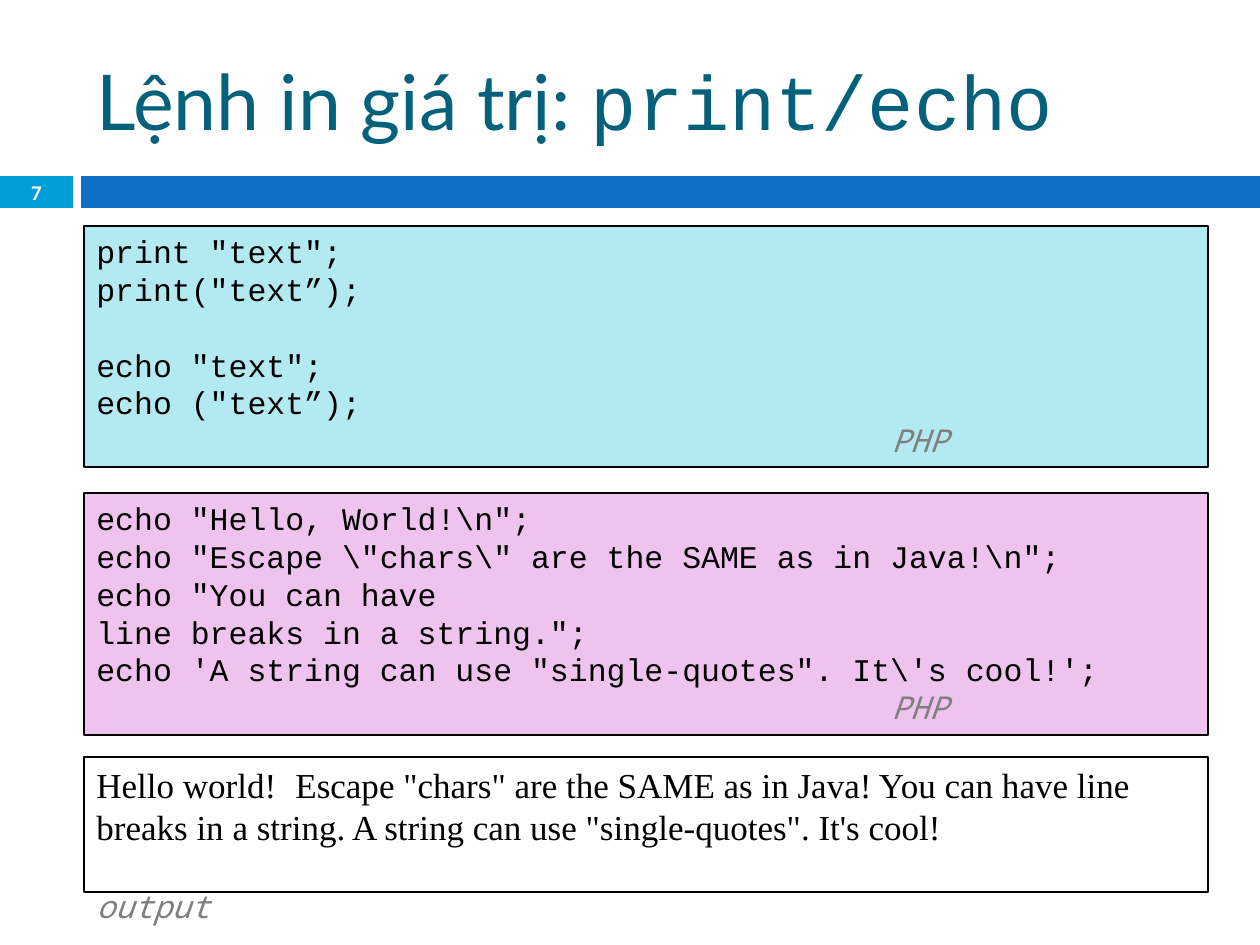
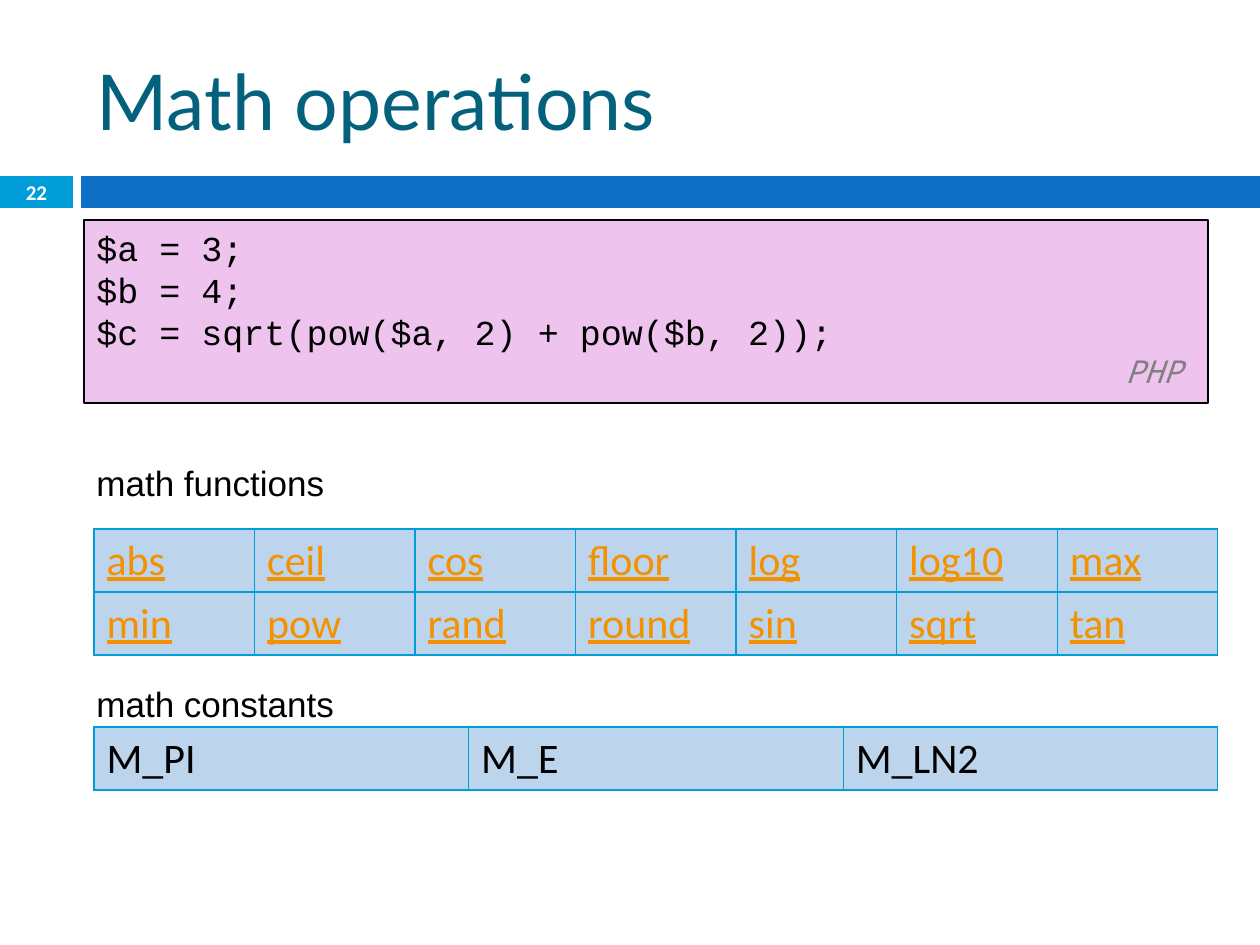
"""Build two PHP lesson slides: printing values and math operations."""
from lxml import etree
from pptx import Presentation
from pptx import util as u
from pptx.dml.color import RGBColor
from pptx.enum import shapes, text
from pptx.oxml.ns import qn


class Theme:
    band, number_band = "0F6FC6", "009DD9"
    cyan, pink, white, black = "B3EAF2", "EEC4EE", "FFFFFF", "000000"
    cell, border = "BCD4EC", "009DD9"
    title = dict(name="Lato", size=44, color="04617B")
    title_code = dict(title, name="Courier New")
    number = dict(name="Calibri", size=12, bold=True, color=white)
    code = dict(name="Courier New", size=18, color=black)
    large_code = dict(code, size=20)
    output = dict(name="Times New Roman", size=20, color=black)
    gap = dict(name="Noto Sans Mono", size=18, color="808080")
    tag = dict(gap, italic=True)
    caption = dict(name="Arial", size=20, color=black)
    constant = dict(name="Calibri", size=24, color=black)
    function = dict(constant, color="F49100", underline=True)


def px(length):
    return u.Emu(round(length * 914400 / 126))


def write(frame, lines, spaced=False, align=text.PP_ALIGN.LEFT):
    frame.vertical_anchor = text.MSO_ANCHOR.TOP if spaced else text.MSO_ANCHOR.MIDDLE
    for index, (runs, before, indent) in enumerate(lines):
        paragraph = frame.paragraphs[0] if index == 0 else frame.add_paragraph()
        paragraph.alignment = align
        paragraph.space_before = u.Pt(before)
        if spaced:
            paragraph.line_spacing = u.Pt(runs[0][1]["size"] * 1.2)
        if indent:
            paragraph._p.get_or_add_pPr().set("marL", str(px(indent)))
        for words, style in runs:
            run = paragraph.add_run()
            run.text = words
            for key, value in style.items():
                if key == "color":
                    run.font.color.rgb = RGBColor.from_string(value)
                else:
                    setattr(run.font, key, u.Pt(value) if key == "size" else value)


presentation = Presentation()
presentation.slide_width, presentation.slide_height = px(1260), px(945)

print_lines = [
    ([('print "text";', Theme.code)], 0, 0),
    ([('print("text”);', Theme.code)], 0, 0),
    ([('echo "text";', Theme.code)], 21.6, 0),
    ([('echo ("text”);', Theme.code)], 0, 0),
    ([("PHP", Theme.tag)], 0, 795),
]
echo_lines = [
    ([(line, Theme.code)], 0, 0)
    for line in (
        r'echo "Hello, World!\n";',
        r'echo "Escape \"chars\" are the SAME as in Java!\n";',
        'echo "You can have',
        'line breaks in a string.";',
        r"""echo 'A string can use "single-quotes". It\'s cool!';""",
    )
] + [([("PHP", Theme.tag)], 0, 795)]
output_lines = [
    ([("Hello world!", Theme.output), (" ", Theme.gap),
      ('Escape "chars" are the SAME as in Java! You can have line breaks in a string. '
       'A string can use "single-quotes". It\'s cool!', Theme.output)], 0, 0),
    ([("output", Theme.tag)], 23, 0),
]
math_lines = [
    ([(line, Theme.large_code)], 0, 0)
    for line in ("$a = 3;", "$b = 4;", "$c = sqrt(pow($a, 2) + pow($b, 2));")
] + [([("PHP", Theme.tag)], 0, 1029)]

pages = [
    ("7", [("Lệnh in giá trị: ", Theme.title), ("print/echo", Theme.title_code)],
     [(226, 241, Theme.cyan, print_lines),
      (493, 242, Theme.pink, echo_lines),
      (757, 135, Theme.white, output_lines)]),
    ("22", [("Math operations", Theme.title)],
     [(220, 183, Theme.pink, math_lines)]),
]

for number, title_runs, boxes in pages:
    slide = presentation.slides.add_slide(presentation.slide_layouts[5])
    title = slide.shapes.title
    title.left, title.top, title.width, title.height = px(84), px(32), px(1124), px(136)
    title.text_frame.auto_size = text.MSO_AUTO_SIZE.NONE
    write(title.text_frame, [(title_runs, 0, 0)])

    for left, width, color in ((0, 73, Theme.number_band), (81, 1179, Theme.band)):
        band = slide.shapes.add_shape(
            shapes.MSO_SHAPE.RECTANGLE, px(left), px(176), px(width), px(32))
        band.shadow.inherit = False
        band.fill.solid()
        band.fill.fore_color.rgb = RGBColor.from_string(color)
        band.line.fill.background()

    number_box = slide.shapes.add_textbox(0, px(175), px(73), px(34))
    write(number_box.text_frame, [([(number, Theme.number)], 0, 0)],
          align=text.PP_ALIGN.CENTER)

    for top, height, color, lines in boxes:
        box = slide.shapes.add_shape(
            shapes.MSO_SHAPE.RECTANGLE, px(84), px(top), px(1124), px(height))
        box.shadow.inherit = False
        box.fill.solid()
        box.fill.fore_color.rgb = RGBColor.from_string(color)
        box.line.color.rgb = RGBColor.from_string(Theme.black)
        box.line.width = u.Pt(1.5)
        box.text_frame.word_wrap = True
        write(box.text_frame, lines, spaced=True)

tables = [
    ("math functions", 455, 529, Theme.function,
     ["abs ceil cos floor log log10 max".split(),
      "min pow rand round sin sqrt tan".split()]),
    ("math constants", 676, 727, Theme.constant, [["M_PI", "M_E", "M_LN2"]]),
]
for caption, caption_top, table_top, style, rows in tables:
    caption_box = slide.shapes.add_textbox(px(84), px(caption_top), px(270), px(55))
    write(caption_box.text_frame, [([(caption, Theme.caption)], 0, 0)])

    table = slide.shapes.add_table(
        len(rows), len(rows[0]), px(94), px(table_top), px(1124), px(63 * len(rows))).table
    for column in table.columns:
        column.width = px(1124) // len(rows[0])
    for cell, words in zip(table.iter_cells(), sum(rows, [])):
        write(cell.text_frame, [([(words, style)], 0, 0)])
        cell.vertical_anchor = text.MSO_ANCHOR.MIDDLE
        properties = cell._tc.get_or_add_tcPr()
        for side in ("a:lnL", "a:lnR", "a:lnT", "a:lnB"):
            line = etree.SubElement(properties, qn(side), w="10000")
            fill = etree.SubElement(line, qn("a:solidFill"))
            etree.SubElement(fill, qn("a:srgbClr"), val=Theme.border)
        cell.fill.solid()
        cell.fill.fore_color.rgb = RGBColor.from_string(Theme.cell)

presentation.save("out.pptx")
